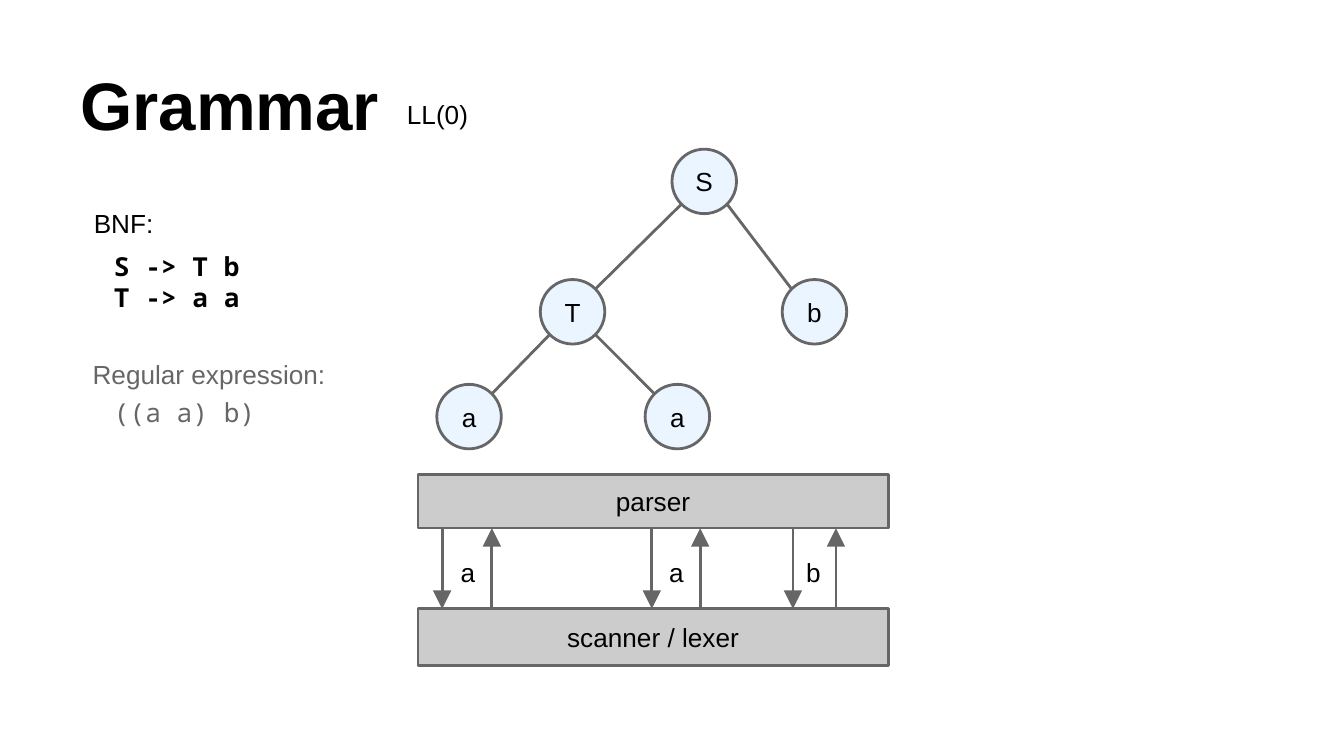
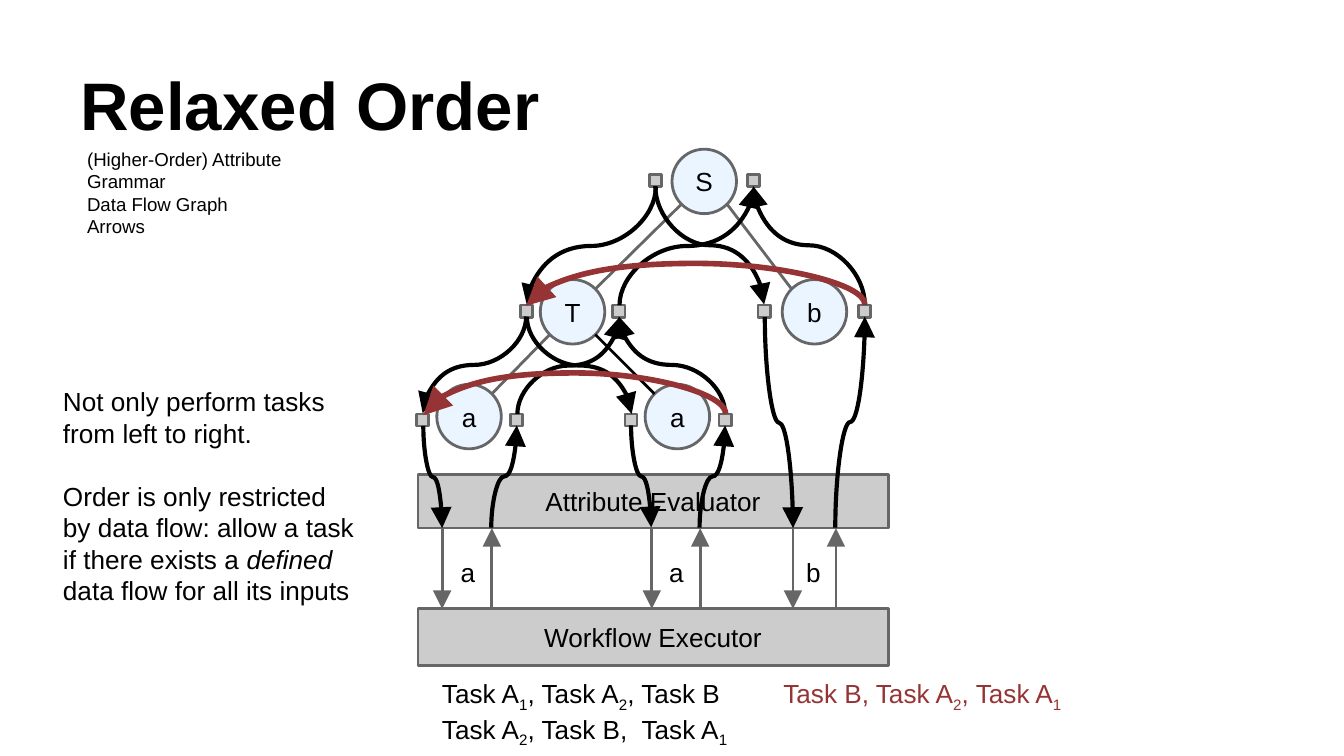
import dataclasses
import lxml.etree
import pptx
import pptx.dml.color
import pptx.enum.shapes
import pptx.enum.text
import pptx.oxml.ns
import pptx.shapes.base
import pptx.slide
import pptx.text.text
import pptx.util

SCALE = 9144
BLACK, GREY, SILVER, PALE, RED = "000000", "666666", "CCCCCC", "EAF5FF", "963334"
SANS, MONO = "Arial", "Noto Sans Mono"
RECTANGLE = pptx.enum.shapes.MSO_SHAPE.RECTANGLE
OVAL = pptx.enum.shapes.MSO_SHAPE.OVAL
MIDDLE = pptx.enum.text.MSO_ANCHOR.MIDDLE
BOTTOM = pptx.enum.text.MSO_ANCHOR.BOTTOM
CENTER = pptx.enum.text.PP_ALIGN.CENTER

NODE, CORNER, PORT = 48, 17, 9
BAR_LEFT, BAR_WIDTH = 311, 350
UPPER_BAR, LOWER_BAR, UPPER_EDGE = 353, 453, 393


@dataclasses.dataclass(frozen=True)
class Node:
    label: str
    left: int
    top: int
    port_top: int
    input_left: int
    output_left: int

    @property
    def center(self) -> tuple[int, int]:
        return self.left + NODE // 2, self.top + NODE // 2

    @property
    def input_x(self) -> int:
        return self.input_left + PORT // 2 + 1

    @property
    def output_x(self) -> int:
        return self.output_left + PORT // 2 + 1

    @property
    def port_bottom(self) -> int:
        return self.port_top + PORT


@dataclasses.dataclass(frozen=True)
class Exchange:
    label: str
    label_left: int
    down_x: int
    up_x: int


ROOT = Node("S", 500, 111, 130, 483, 556)
INNER = Node("T", 402, 208, 227, 387, 456)
LEAF_B = Node("b", 582, 208, 227, 564, 639)
FIRST_A = Node("a", 325, 286, 308, 310, 380)
SECOND_A = Node("a", 480, 286, 308, 465, 535)
NODES = (ROOT, INNER, LEAF_B, FIRST_A, SECOND_A)
BRANCHES = (
    (ROOT, INNER),
    (ROOT, LEAF_B),
    (INNER, FIRST_A),
    (INNER, SECOND_A),
)
EXCHANGES = (
    Exchange("a", 333, 329, 366),
    Exchange("a", 488, 485, 521),
    Exchange("b", 590, 590, 622),
)


def px(length: int) -> pptx.util.Emu:
    return pptx.util.Emu(length * SCALE)


def color(value: str) -> pptx.dml.color.RGBColor:
    return pptx.dml.color.RGBColor.from_string(value)


def add_child(parent, tag: str, **attributes: str):
    return lxml.etree.SubElement(parent, pptx.oxml.ns.qn(tag), **attributes)


def write_text(
    frame: pptx.text.text.TextFrame,
    text: str,
    *,
    size: int = 14,
    font: str = SANS,
    fill: str = BLACK,
    bold: bool = False,
    emphasis: str = "italic",
    anchor=None,
    align=None,
    space_before: int = 0,
) -> None:
    frame.word_wrap = True
    frame.margin_left = frame.margin_right = px(10)
    frame.margin_top = frame.margin_bottom = px(10)
    frame.vertical_anchor = anchor
    for index, content in enumerate(text.split("\n")):
        paragraph = frame.add_paragraph() if index else frame.paragraphs[0]
        paragraph.alignment = align
        if index and space_before:
            paragraph.space_before = pptx.util.Pt(space_before)
        for row, line in enumerate(content.split("\v")):
            if row:
                paragraph.add_line_break()
            for position, piece in enumerate(line.split("|")):
                if not piece:
                    continue
                run = paragraph.add_run()
                run.text = piece
                run.font.size = pptx.util.Pt(size)
                run.font.name = font
                run.font.bold = bold
                run.font.color.rgb = color(fill)
                if position % 2 and emphasis == "italic":
                    run.font.italic = True
                elif position % 2:
                    run.font._element.set("baseline", "-25000")


def add_text(
    slide: pptx.slide.Slide,
    box: tuple[int, int, int, int],
    text: str,
    **text_format,
) -> None:
    shape = slide.shapes.add_textbox(*map(px, box))
    write_text(shape.text_frame, text, **text_format)


def add_title(slide: pptx.slide.Slide, text: str, width: int) -> None:
    add_text(slide, (50, 23, width, 94), text, size=36, bold=True, anchor=BOTTOM)


def add_box(
    slide: pptx.slide.Slide,
    kind: pptx.enum.shapes.MSO_SHAPE,
    box: tuple[int, int, int, int],
    fill: str,
    text: str = "",
) -> None:
    shape = slide.shapes.add_shape(kind, *map(px, box))
    shape.shadow.inherit = False
    shape.fill.solid()
    shape.fill.fore_color.rgb = color(fill)
    shape.line.color.rgb = color(GREY)
    shape.line.width = pptx.util.Pt(1.5)
    if text:
        write_text(shape.text_frame, text, anchor=MIDDLE, align=CENTER)


def style_line(
    connector: pptx.shapes.base.BaseShape, fill: str, width: float, arrow: bool
) -> None:
    connector.line.color.rgb = color(fill)
    connector.line.width = pptx.util.Pt(width)
    properties = connector.element.spPr
    if arrow:
        line = properties.find(pptx.oxml.ns.qn("a:ln"))
        add_child(line, "a:tailEnd", type="triangle", w="lg", len="lg")
    add_child(properties, "a:effectLst")


def add_line(
    slide: pptx.slide.Slide,
    start: tuple[int, int],
    end: tuple[int, int],
    fill: str = GREY,
    arrow: bool = False,
) -> None:
    connector = slide.shapes.add_connector(
        pptx.enum.shapes.MSO_CONNECTOR.STRAIGHT, *map(px, start + end)
    )
    style_line(connector, fill, 1.5, arrow)


def add_curve(
    slide: pptx.slide.Slide,
    start: tuple[int, int],
    end: tuple[int, int],
    fill: str = BLACK,
    width: float = 2.25,
    bend: float = 0.5,
) -> None:
    across, along = end[0] - start[0], end[1] - start[1]
    length, breadth = abs(along), abs(across)
    left = (start[0] + end[0] - length) // 2
    top = (start[1] + end[1] - breadth) // 2
    connector = slide.shapes.add_connector(
        pptx.enum.shapes.MSO_CONNECTOR.CURVE,
        *map(px, (left, top, left + length, top + breadth)),
    )
    properties = connector.element.spPr
    transform = properties.find(pptx.oxml.ns.qn("a:xfrm"))
    transform.set("rot", str((90 if across < 0 else 270) * 60000))
    if (across < 0) == (along < 0):
        transform.set("flipH", "1")
    guides = properties.find(".//" + pptx.oxml.ns.qn("a:avLst"))
    add_child(guides, "a:gd", name="adj1", fmla=f"val {round(bend * 100000)}")
    style_line(connector, fill, width, True)


def add_machine(
    slide: pptx.slide.Slide, upper: str, lower: str, last_edge: str = GREY
) -> None:
    add_box(slide, RECTANGLE, (BAR_LEFT, UPPER_BAR, BAR_WIDTH, 40), SILVER, upper)
    add_box(slide, RECTANGLE, (BAR_LEFT, LOWER_BAR, BAR_WIDTH, 42), SILVER, lower)
    for node in NODES:
        add_box(slide, OVAL, (node.left, node.top, NODE, NODE), PALE, node.label)
    for parent, child in BRANCHES:
        (x, y), (child_x, child_y) = parent.center, child.center
        side = CORNER if child_x > x else -CORNER
        add_line(
            slide,
            (x + side, y + CORNER),
            (child_x - side, child_y - CORNER),
            last_edge if child is SECOND_A else GREY,
        )
    for exchange in EXCHANGES:
        add_text(slide, (exchange.label_left, 404, 33, 40), exchange.label)
        down, up = exchange.down_x, exchange.up_x
        add_line(slide, (down, UPPER_EDGE), (down, LOWER_BAR), arrow=True)
        add_line(slide, (up, LOWER_BAR), (up, UPPER_EDGE), arrow=True)


def add_data_flow(slide: pptx.slide.Slide) -> None:
    for node in NODES:
        for left in (node.input_left, node.output_left):
            add_box(slide, RECTANGLE, (left, node.port_top, PORT, PORT), SILVER)
    for parent, child in BRANCHES:
        add_curve(
            slide,
            (parent.input_x, parent.port_bottom),
            (child.input_x, child.port_top),
        )
        add_curve(
            slide,
            (child.output_x, child.port_top),
            (parent.output_x, parent.port_bottom),
        )
    for leaf, exchange in zip((FIRST_A, SECOND_A, LEAF_B), EXCHANGES):
        add_curve(
            slide, (leaf.input_x, leaf.port_bottom), (exchange.down_x, UPPER_EDGE)
        )
        add_curve(
            slide, (exchange.up_x, UPPER_EDGE), (leaf.output_x, leaf.port_bottom)
        )
    for source, target in ((LEAF_B, INNER), (SECOND_A, FIRST_A)):
        add_curve(
            slide,
            (source.output_x, source.port_top),
            (target.input_x, target.port_top + 1),
            fill=RED,
            width=3,
            bend=-31,
        )


def build_grammar(slide: pptx.slide.Slide) -> None:
    add_machine(slide, "parser", "scanner / lexer")
    add_title(slide, "Grammar", 254)
    add_text(slide, (293, 63, 87, 48), "LL(0)")
    add_text(slide, (75, 176, 144, 70), "S -> T b\vT -> a a", font=MONO, bold=True)
    add_text(slide, (75, 285, 174, 49), "((a a) b)", font=MONO, fill=GREY)
    add_text(slide, (59, 257, 205, 40), "Regular expression:", fill=GREY)
    add_text(slide, (60, 144, 87, 40), "BNF:")


def build_relaxed_order(slide: pptx.slide.Slide) -> None:
    add_title(slide, "Relaxed Order", 375)
    add_machine(slide, "Attribute Evaluator", "Workflow Executor", BLACK)
    add_data_flow(slide)
    topics = "(Higher-Order) Attribute Grammar\nData Flow Graph\nArrows"
    add_text(slide, (55, 100, 226, 71), topics, size=10)
    explanation = (
        "Not only perform tasks from left to right.\n"
        "Order is only restricted by data flow: allow a task if there exists "
        "a |defined| data flow for all its inputs"
    )
    add_text(slide, (37, 277, 241, 217), explanation, space_before=17)
    orders = "Task A|1|, Task A|2|, Task B\vTask A|2|, Task B,  Task A|1|"
    add_text(slide, (319, 494, 254, 63), orders, emphasis="subscript")
    reverse = "Task B, Task A|2|, Task A|1|"
    add_text(slide, (573, 494, 254, 43), reverse, emphasis="subscript", fill=RED)


def main() -> None:
    presentation = pptx.Presentation()
    presentation.slide_width = px(1000)
    presentation.slide_height = pptx.util.Emu(px(1000) * 9 // 16)
    for build in (build_grammar, build_relaxed_order):
        build(presentation.slides.add_slide(presentation.slide_layouts[6]))
    presentation.save("out.pptx")


if __name__ == "__main__":
    main()
